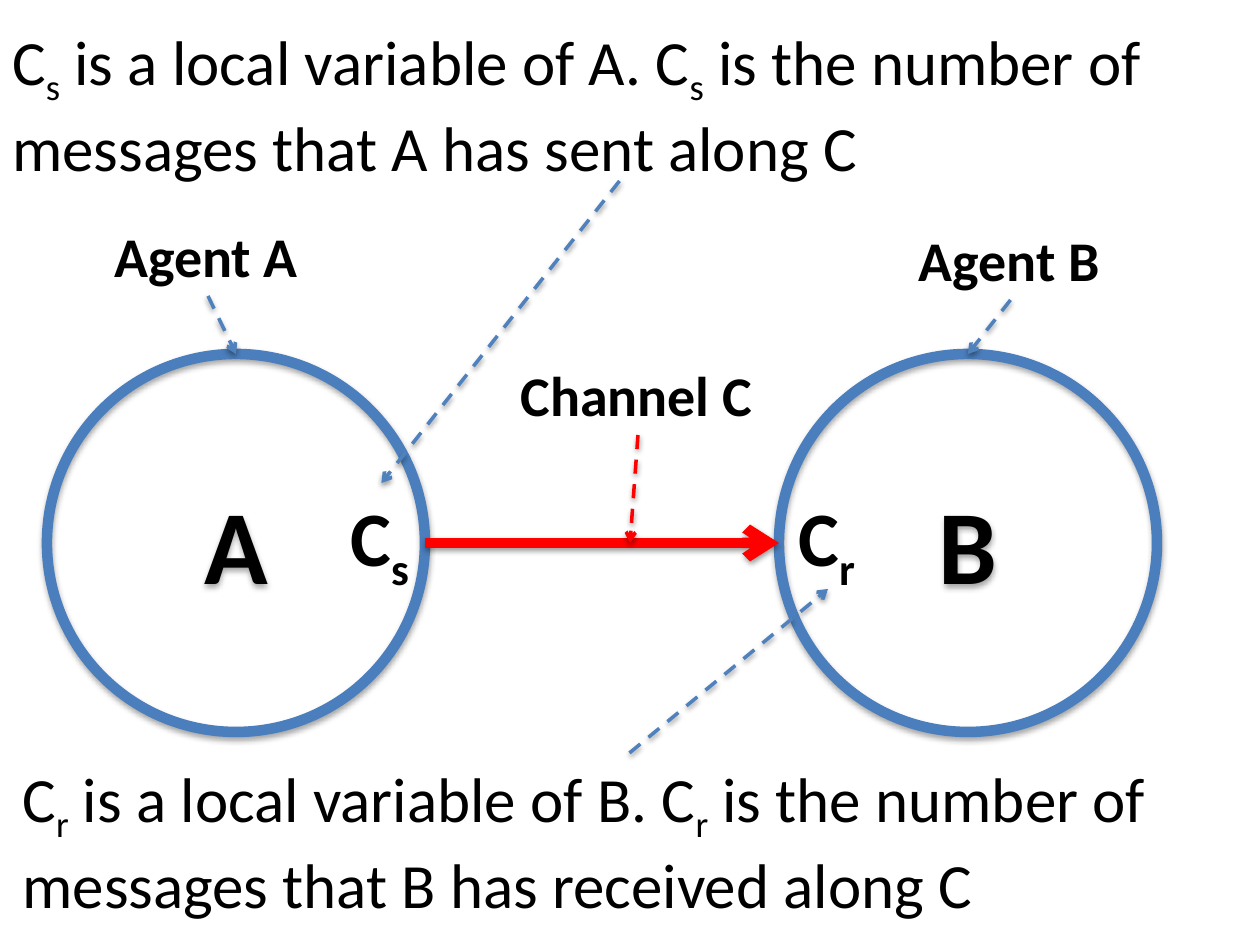
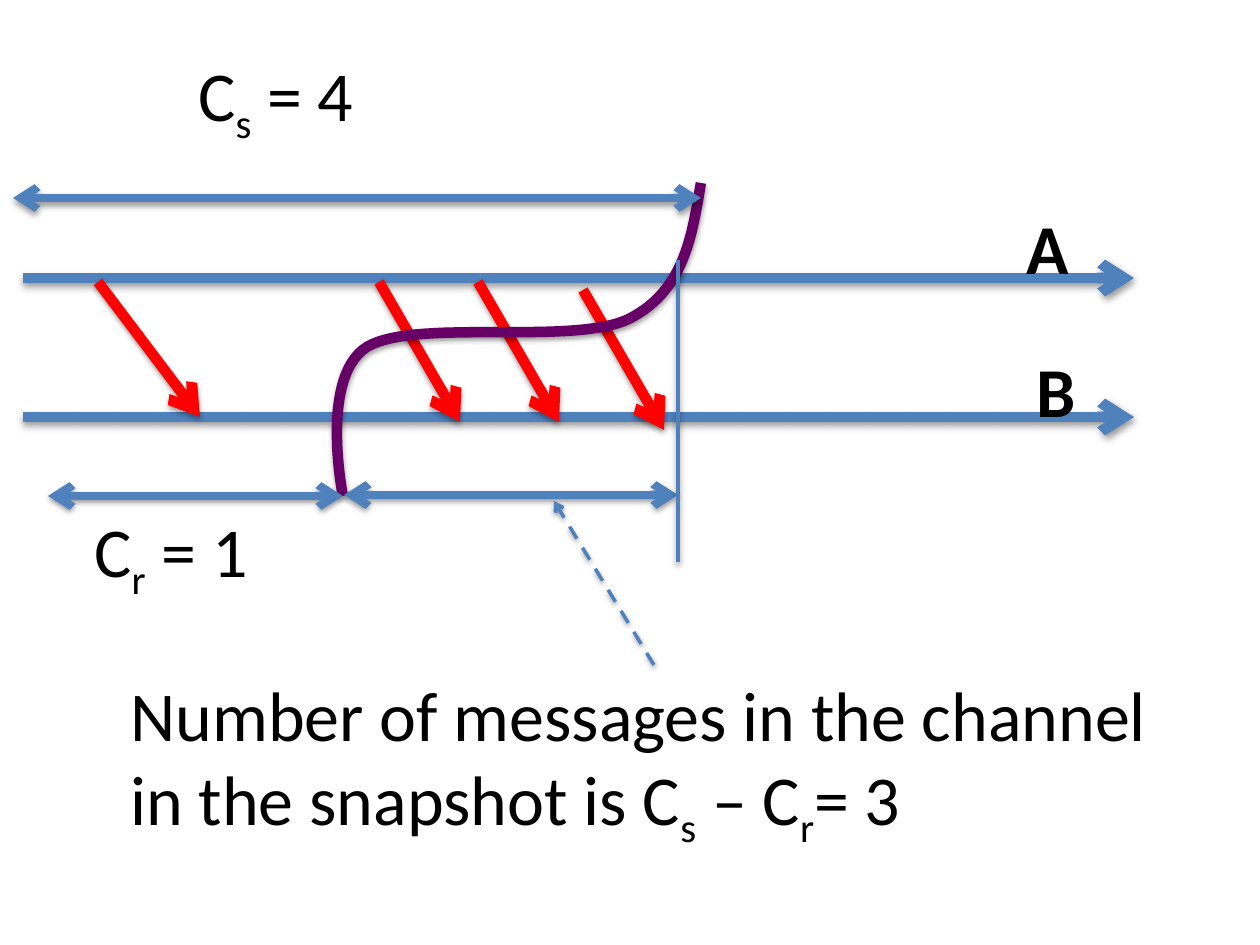
from dataclasses import dataclass

from lxml.etree import SubElement
from pptx import Presentation
from pptx.dml.color import RGBColor
from pptx.enum.dml import MSO_LINE_DASH_STYLE as Dash
from pptx.enum.shapes import MSO_CONNECTOR as Connector, MSO_SHAPE as Preset
from pptx.enum.text import MSO_ANCHOR as Anchor, MSO_AUTO_SIZE as AutoSize, PP_ALIGN as Align
from pptx.oxml.ns import qn
from pptx.util import Pt

EMU_PER_PX = 914400 / 126
TOP, BOTTOM = 0, 2


@dataclass(frozen=True)
class Theme:
    font: str = "Calibri"
    text: str = "000000"
    blue: str = "4F81BD"
    outline: str = "4B7EBC"
    red: str = "FF0000"
    purple: str = "660066"
    shadow: str = "000000"
    label: int = 32
    note: int = 36
    value: int = 40
    counter: int = 44
    agent: int = 60
    thin: float = 2
    medium: float = 4.5
    thick: float = 6


THEME = Theme()


def px(value):
    return round(value * EMU_PER_PX)


def add_runs(paragraph, parts, size, bold):
    for part in parts:
        run = paragraph.add_run()
        run.text = part.removeprefix("_")
        run.font.name = THEME.font
        run.font.size = Pt(size)
        run.font.bold = bold
        run.font.color.rgb = RGBColor.from_string(THEME.text)
        if part.startswith("_"):
            run._r.get_or_add_rPr().set("baseline", "-25000")


def add_text(slide, box, parts, size, bold=False, wrap=True):
    shape = slide.shapes.add_textbox(*map(px, box))
    frame = shape.text_frame
    frame.word_wrap = wrap
    frame.auto_size = AutoSize.SHAPE_TO_FIT_TEXT
    add_runs(frame.paragraphs[0], parts, size, bold)
    return shape


def style_line(shape, color, width):
    shape.line.color.rgb = RGBColor.from_string(color)
    shape.line.width = Pt(width)


def add_shadow(shape, distance=20000, opacity=38000):
    effects = SubElement(shape._element.spPr, qn("a:effectLst"))
    shadow = SubElement(effects, qn("a:outerShdw"), blurRad="40000",
                        dist=str(distance), dir="5400000", rotWithShape="0")
    color = SubElement(shadow, qn("a:srgbClr"), val=THEME.shadow)
    SubElement(color, qn("a:alpha"), val=str(opacity))


def add_line(slide, start, end, color, width, dashed=False, arrows=("tailEnd",)):
    line = slide.shapes.add_connector(Connector.STRAIGHT, *map(px, (*start, *end)))
    style_line(line, color, width)
    if dashed:
        line.line.dash_style = Dash.DASH
    for arrow in arrows:
        SubElement(line.line._get_or_add_ln(), qn(f"a:{arrow}"), type="arrow")
    add_shadow(line)
    return line


def add_pointer(slide, source, source_side, end=(0, 0), target=None,
                target_side=TOP, color=THEME.blue):
    pointer = add_line(slide, (0, 0), end, color, THEME.thin, dashed=True)
    pointer.begin_connect(source, source_side)
    if target is not None:
        pointer.end_connect(target, target_side)


def add_span(slide, left, right, y):
    add_line(slide, (left, y), (right, y), THEME.blue, THEME.medium,
             arrows=("headEnd", "tailEnd"))


def add_agent(slide, left, name):
    circle = slide.shapes.add_shape(Preset.OVAL, *map(px, (left, 354, 378, 378)))
    circle.fill.background()
    style_line(circle, THEME.outline, THEME.thick)
    add_shadow(circle, 23000, 35000)
    frame = circle.text_frame
    frame.vertical_anchor = Anchor.MIDDLE
    paragraph = frame.paragraphs[0]
    paragraph.alignment = Align.CENTER
    add_runs(paragraph, [name], THEME.agent, True)
    return circle


def bezier_point(controls, t):
    weights = ((1 - t) ** 3, 3 * t * (1 - t) ** 2, 3 * t * t * (1 - t), t ** 3)
    return tuple(px(sum(w * c for w, c in zip(weights, axis))) for axis in zip(*controls))


def add_curve(slide, points, color, width, steps=30):
    builder = slide.shapes.build_freeform(*map(px, points[0]))
    vertices = [bezier_point(points[first:first + 4], step / steps)
                for first in range(0, len(points) - 1, 3)
                for step in range(1, steps + 1)]
    builder.add_line_segments(vertices, close=False)
    curve = builder.convert_to_shape()
    curve.fill.background()
    style_line(curve, color, width)
    add_shadow(curve)


def build_channel_slide(slide):
    agent_a = add_agent(slide, 47, "A")
    agent_b = add_agent(slide, 779, "B")
    add_line(slide, (425, 543), (779, 543), THEME.red, THEME.thick)

    channel = add_text(slide, (508, 354, 260, 81), ["Channel C"], THEME.label, True, False)
    add_pointer(slide, channel, BOTTOM, end=(630, 543), color=THEME.red)

    sent = add_text(slide, (338, 483, 87, 106), ["C", "_s"], THEME.counter, True, False)
    received = add_text(slide, (786, 483, 84, 106), ["C", "_r"], THEME.counter, True, False)

    for box, name, circle in (((102, 215, 212, 81), "Agent A", agent_a),
                              ((906, 219, 209, 81), "Agent B", agent_b)):
        label = add_text(slide, box, [name], THEME.label, True, False)
        add_pointer(slide, label, BOTTOM, target=circle)

    for left, top, index, agent, action, counter, side in (
            (10, 753, "_r", "B", "received", received, TOP),
            (0, 16, "_s", "A", "sent", sent, BOTTOM)):
        parts = ["C", index, f" is a local variable of {agent}. C", index,
                 f" is the number of messages that {agent} has {action} along C"]
        note = add_text(slide, (left, top, 1239, 165), parts, THEME.note)
        add_pointer(slide, note, side, target=counter, target_side=BOTTOM - side)


def build_snapshot_slide(slide):
    for y in (278, 417):
        add_line(slide, (23, y), (1134, y), THEME.blue, THEME.thick)
    add_text(slide, (1014, 198, 72, 97), ["A"], THEME.value, True)
    add_text(slide, (1024, 341, 68, 97), ["B"], THEME.value, True)

    add_line(slide, (98, 282), (200, 417), THEME.red, THEME.thick)
    for x, y in ((379, 282), (478, 282), (583, 290)):
        add_line(slide, (x, y), (x + 81, y + 140), THEME.red, THEME.thick)

    snapshot_cut = [(701, 183), (692, 237), (684, 291), (629, 319), (573, 346),
                    (415, 318), (367, 347), (319, 377), (343, 496), (343, 496)]
    add_curve(slide, snapshot_cut, THEME.purple, THEME.thick)

    for left, right, y in ((13, 701, 198), (48, 343, 496), (344, 678, 495)):
        add_span(slide, left, right, y)
    add_text(slide, (186, 45, 194, 97), ["C", "_s", " = 4"], THEME.value)
    add_text(slide, (82, 501, 193, 97), ["C", "_r", " = 1"], THEME.value)

    parts = ["Number of messages in the channel in the snapshot is C", "_s",
             " – C", "_r", "= 3"]
    note = add_text(slide, (118, 665, 1072, 183), parts, THEME.value)
    add_pointer(slide, note, TOP, end=(554, 501))
    add_line(slide, (678, 260), (678, 562), THEME.blue, THEME.thin, arrows=())


def main():
    presentation = Presentation()
    presentation.slide_width = px(1260)
    presentation.slide_height = px(945)
    blank = presentation.slide_layouts[6]
    for build in (build_channel_slide, build_snapshot_slide):
        build(presentation.slides.add_slide(blank))
    presentation.save("out.pptx")


if __name__ == "__main__":
    main()
